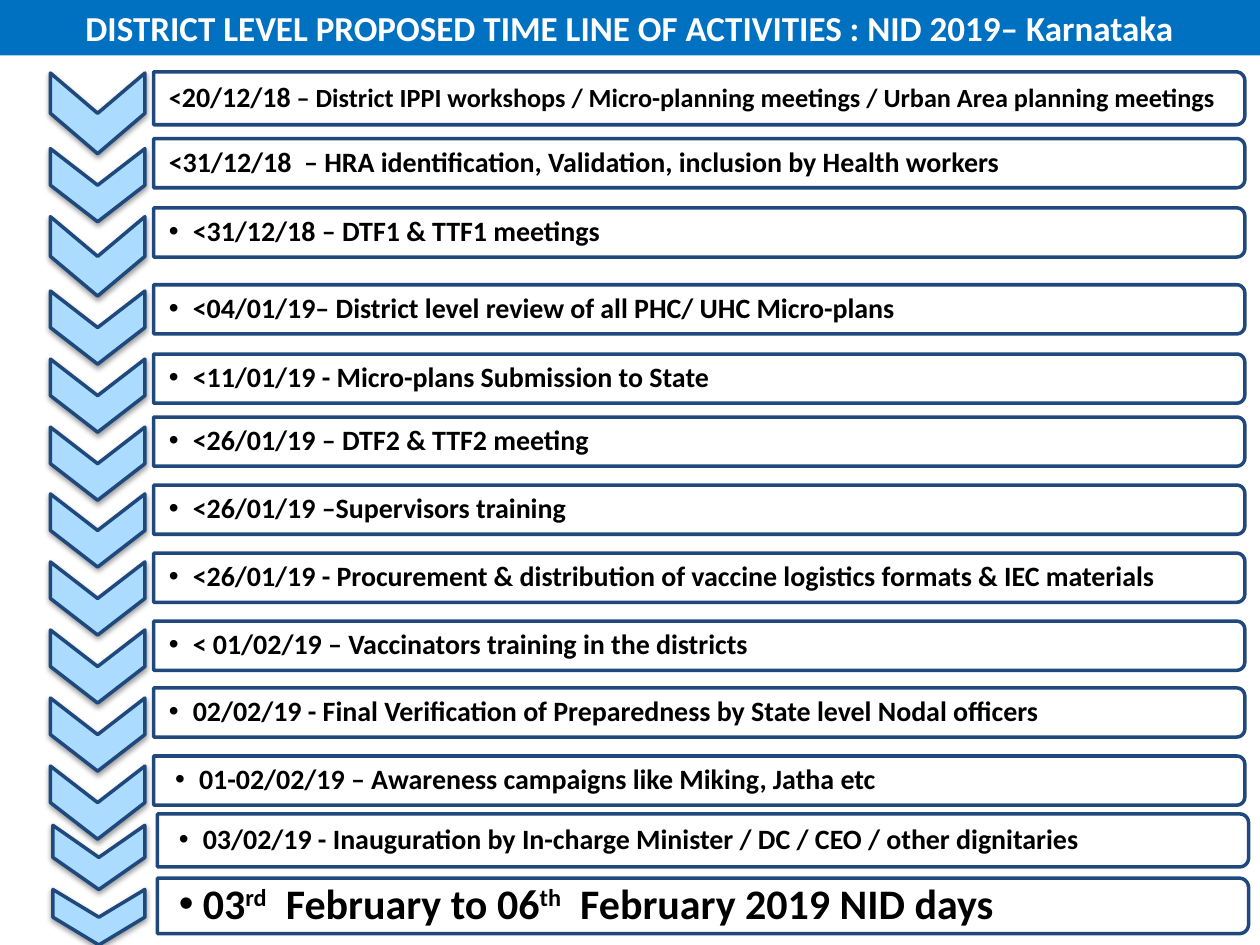
from math import cos, pi, sin

from lxml.etree import SubElement
from pptx import Presentation
from pptx.dml.color import RGBColor
from pptx.enum.shapes import MSO_SHAPE
from pptx.enum.text import MSO_ANCHOR as ANCHOR, MSO_AUTO_SIZE as AUTO, PP_ALIGN as ALIGN
from pptx.oxml.ns import qn
from pptx.util import Inches, Pt

COLORS = {"banner": "0070C0", "chevron": "ABDBFF", "outline": "1F497D",
          "white": "FFFFFF", "black": "000000"}
FONT = "Calibri"
TITLE = "DISTRICT LEVEL PROPOSED TIME LINE OF ACTIVITIES : NID 2019– Karnataka"

# Each activity: chevron (top, height), bar (top, height), runs (text, size, superscript)
ACTIVITIES = [
    ((0.58, 0.64), (0.57, 0.42), [
        ("<", 15), ("20/12/18", 16),
        (" – District IPPI workshops / Micro-planning meetings / Urban Area planning meetings", 15)]),
    ((1.18, 0.58), (1.10, 0.39), [
        ("<31/12/18  – HRA identification, Validation, inclusion by Health workers", 16)]),
    ((1.72, 0.63), (1.65, 0.39), [("<31/12/18 – DTF1 & TTF1 meetings", 16)]),
    ((2.31, 0.58), (2.26, 0.39), [
        ("<04/01/19– District level review of all PHC/ UHC Micro-plans", 16)]),
    ((2.85, 0.58), (2.81, 0.39), [("<11/01/19 - Micro-plans Submission to State", 16)]),
    ((3.39, 0.58), (3.31, 0.39), [("<26/01/19 – DTF2 & TTF2 meeting", 16)]),
    ((3.92, 0.58), (3.85, 0.39), [("<26/01/19 –Supervisors training", 16)]),
    ((4.46, 0.58), (4.39, 0.39), [
        ("<26/01/19 - Procurement & distribution of vaccine logistics formats & IEC materials", 16)]),
    ((5.00, 0.58), (4.93, 0.39), [("< 01/02/19 – Vaccinators training in the districts", 16)]),
    ((5.54, 0.58), (5.46, 0.39), [
        ("02/02/19 - Final Verification of Preparedness by State level Nodal officers", 16)]),
    ((6.08, 0.58), (6.00, 0.39), [
        ("01-02/02/19 – Awareness campaigns like Miking, Jatha etc", 16)]),
    ((6.55, 0.51), (6.46, 0.42), [
        ("03/02/19 - Inauguration by In-charge Minister / DC / CEO / other dignitaries", 16)]),
    ((7.06, 0.44), (6.97, 0.44), [
        ("03", 24), ("rd", 24, True), ("  February to 06", 24), ("th", 24, True),
        ("  February 2019 NID days", 24)]),
]
PLAIN_ROWS = 2      # first rows have no bullet
WIDE_INSET_ROW = 10  # from here the text is set further in
SHIFTED_ROW = 11    # from here the row sits slightly to the right
BAR_WIDTH = 8.66


def rgb(name):
    return RGBColor.from_string(COLORS[name])


def add_outline(page, points, fill):
    """Closed outline through points given in inches."""
    points = [(Inches(x), Inches(y)) for x, y in points]
    builder = page.shapes.build_freeform(*points[0])
    builder.add_line_segments(points[1:], close=True)
    shape = builder.convert_to_shape()
    shape.fill.solid()
    shape.fill.fore_color.rgb = rgb(fill)
    shape.line.color.rgb = rgb("outline")
    shape.line.width = Pt(2)
    shape.shadow.inherit = False
    return shape


def add_chevron(page, left, top, width, height):
    middle, right, half = left + width / 2, left + width, top + height / 2
    shape = add_outline(page, [(right, top), (right, half), (middle, top + height),
                               (left, half), (left, top), (middle, half)], "chevron")
    effects = shape._element.spPr.find(qn("a:effectLst"))
    shadow = SubElement(effects, qn("a:outerShdw"), blurRad="40000", dist="20000",
                        dir="5400000", rotWithShape="0")
    color = SubElement(shadow, qn("a:srgbClr"), val=COLORS["black"])
    SubElement(color, qn("a:alpha"), val="38000")


def add_bar(page, left, top, width, height):
    """Bar with its two right corners rounded."""
    radius = height / 6
    right, bottom = left + width, top + height
    turns = [step * pi / 16 for step in range(9)]
    upper = [(right - radius + radius * sin(a), top + radius - radius * cos(a)) for a in turns]
    lower = [(x, top + bottom - y) for x, y in reversed(upper)]
    bar = add_outline(page, [(left, top), *upper, *lower, (left, bottom)], "white")
    color = bar._element.spPr.find(qn("a:solidFill"))[0]
    SubElement(color, qn("a:alpha"), val="90000")
    return bar


def write(para, text, size=16, color="black", superscript=False):
    span = para.add_run()
    span.text = text
    span.font.name, span.font.size, span.font.bold = FONT, Pt(size), True
    span.font.color.rgb = rgb(color)
    if superscript:
        span._r.get_or_add_rPr().set("baseline", "30000")


def fill_bar(bar, runs, bullet, inset, margin):
    frame = bar.text_frame
    frame.word_wrap = True
    frame.vertical_anchor = ANCHOR.MIDDLE
    frame.margin_left = Inches(inset)
    frame.margin_top = frame.margin_right = frame.margin_bottom = Inches(margin)
    para = frame.paragraphs[0]
    para.alignment, para.level = ALIGN.LEFT, 1
    para.line_spacing, para.space_after = 0.9, Pt(2)
    props = para._p.get_or_add_pPr()
    indent = Inches(0.19) if bullet else 0
    props.set("marL", str(indent))
    props.set("indent", str(-indent))
    if bullet:
        SubElement(props, qn("a:buFont"), typeface="Arial")
        SubElement(props, qn("a:buChar"), char="•")
    for text, size, *raised in runs:
        write(para, text, size=size, superscript=bool(raised))


def main():
    deck = Presentation()
    deck.slide_width, deck.slide_height = Inches(10), Inches(7.5)
    page = deck.slides.add_slide(deck.slide_layouts[6])

    # Timeline rows
    for row, (chevron, bar_span, runs) in enumerate(ACTIVITIES):
        shifted = row >= SHIFTED_ROW
        chevron_left, chevron_width, bar_left = (0.42, 0.73, 1.25) if shifted else (0.4, 0.75, 1.22)
        add_chevron(page, chevron_left, chevron[0], chevron_width, chevron[1])
        bar = add_bar(page, bar_left, bar_span[0], BAR_WIDTH, bar_span[1])
        inset, margin = (0.17, 0.04) if row >= WIDE_INSET_ROW else (0.12, 0.03)
        fill_bar(bar, runs, bullet=row >= PLAIN_ROWS, inset=inset, margin=margin)

    # Title banner
    banner = page.shapes.add_shape(MSO_SHAPE.RECTANGLE, 0, 0, Inches(10), Inches(0.44))
    banner.shadow.inherit = False
    banner.fill.solid()
    banner.fill.fore_color.rgb = rgb("banner")
    banner.line.fill.background()
    frame = banner.text_frame
    frame.word_wrap = True
    frame.auto_size = AUTO.SHAPE_TO_FIT_TEXT
    frame.vertical_anchor = ANCHOR.TOP
    frame.paragraphs[0].alignment = ALIGN.CENTER
    write(frame.paragraphs[0], TITLE, size=20, color="white")

    deck.save("out.pptx")


if __name__ == "__main__":
    main()
